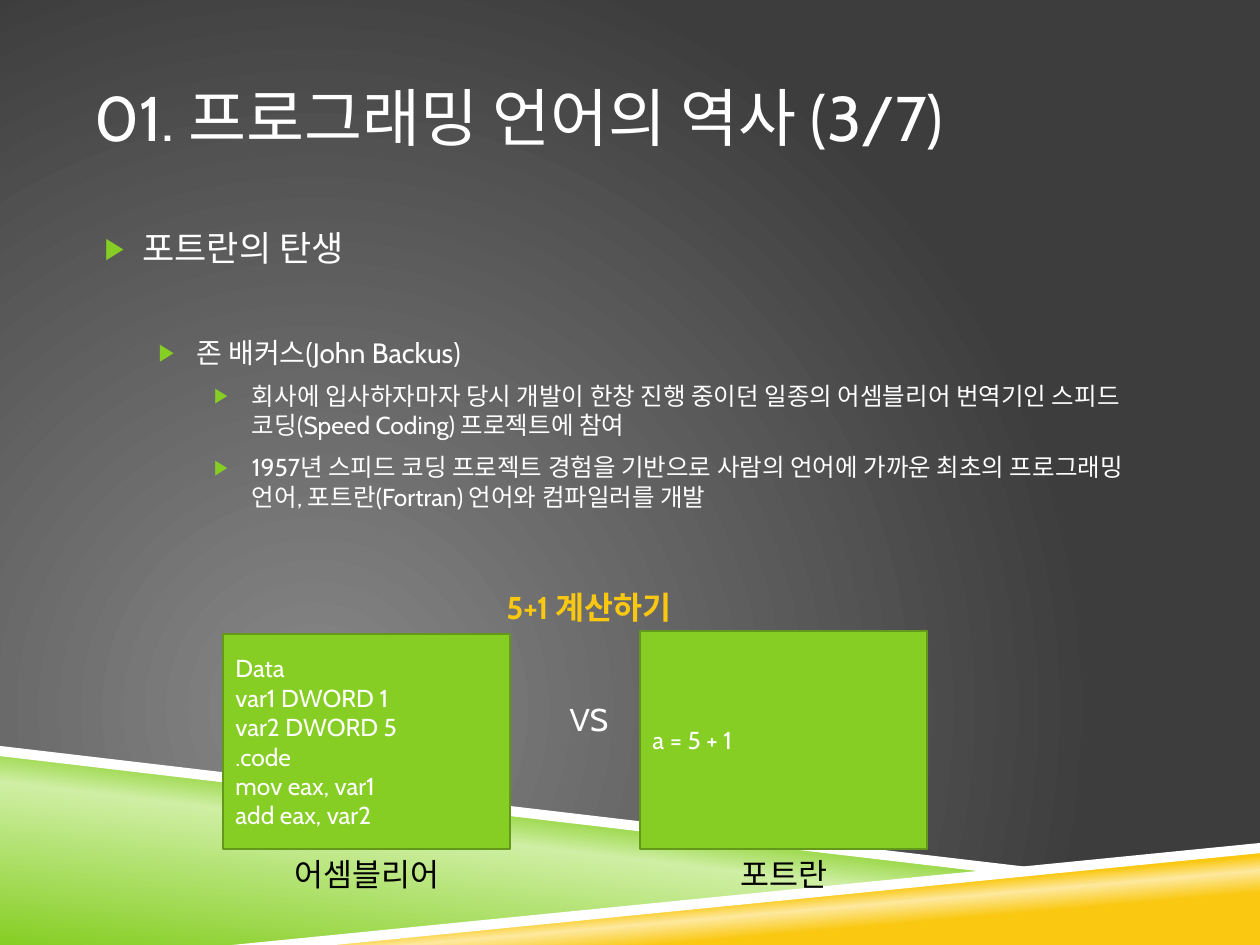
from lxml.etree import SubElement
from pptx import Presentation
from pptx.dml.color import RGBColor
from pptx.enum.shapes import MSO_SHAPE as Shape
from pptx.enum.text import MSO_ANCHOR as Anchor, PP_ALIGN as Align
from pptx.oxml.ns import qn
from pptx.util import Inches, Pt

COLUMNS, ROWS = 40, 30
WIDTH, HEIGHT = Inches(10), Inches(7.5)
FONT = "Cabin"
WHITE, BLACK, GREEN, DARK_GREEN, YELLOW = "FFFFFF", "000000", "86CE24", "63981B", "FAC810"
CAPTION_ROWS = 1.6


def color(value):
    return RGBColor.from_string(value)


def across(columns):
    return round(WIDTH * columns / COLUMNS)


def down(rows):
    return round(HEIGHT * rows / ROWS)


def place(box):
    left, top, width, height = box
    return across(left), down(top), across(width), down(height)


def set_gradient(fill, stops, angle=None, focus=None):
    fill.gradient()
    gradient = fill._xPr.find(qn("a:gradFill"))
    for child in list(gradient):
        gradient.remove(child)
    stop_list = SubElement(gradient, qn("a:gsLst"))
    for position, value in stops:
        stop = SubElement(stop_list, qn("a:gs"), pos=str(position * 1000))
        SubElement(stop, qn("a:srgbClr"), val=value)
    if focus:
        circle = SubElement(gradient, qn("a:path"), {"path": "circle"})
        sides = {side: str(share * 1000) for side, share in zip("ltrb", focus)}
        SubElement(circle, qn("a:fillToRect"), sides)
    else:
        SubElement(gradient, qn("a:lin"), ang=str(angle * 60000), scaled="0")


def write(frame, text, size=18, value=WHITE, bold=False, align=Align.LEFT,
          anchor=Anchor.TOP, side_inset=0.1):
    frame.word_wrap = True
    frame.vertical_anchor = anchor
    frame.margin_left = frame.margin_right = Inches(side_inset)
    for index, line in enumerate(text.split("\n")):
        paragraph = frame.paragraphs[0] if index == 0 else frame.add_paragraph()
        paragraph.alignment = align
        run = paragraph.add_run()
        run.text = line
        font = run.font
        font.name, font.size, font.bold = FONT, Pt(size), bold
        font.color.rgb = color(value)


def add_text(slide, box, text, **style):
    frame = slide.shapes.add_textbox(*place(box)).text_frame
    write(frame, text, **style)
    return frame


def set_bullet(paragraph, level, indent, space):
    paragraph.level = level
    paragraph.space_before = Pt(space)
    properties = paragraph._p.get_or_add_pPr()
    properties.set("marL", str(Inches(indent)))
    properties.set("indent", str(Inches(-0.3)))
    bullet_color = SubElement(properties, qn("a:buClr"))
    SubElement(bullet_color, qn("a:srgbClr"), val=GREEN)
    SubElement(properties, qn("a:buSzPct"), val="85000")
    SubElement(properties, qn("a:buFont"), typeface="Arial")
    SubElement(properties, qn("a:buChar"), char="▶")


def add_band(slide, box, points):
    left, top, width, height = box
    corners = [(across(left + width * x), down(top + height * y)) for x, y in points]
    builder = slide.shapes.build_freeform(*corners[0], scale=1.0)
    builder.add_line_segments(corners[1:], close=True)
    band = builder.convert_to_shape()
    band.shadow.inherit = False
    band.line.fill.background()
    return band.fill


def draw_backdrop(slide):
    set_gradient(slide.background.fill, [(0, "878787"), (100, "3D3D3D")],
                 focus=(50, 100, 100, 50))
    green = add_band(slide, (0, 23.88, 31.68, 6.12),
                     [(0, 0), (1, 0.62), (0.25, 1), (0, 1)])
    set_gradient(green, [(0, GREEN), (52, "CFEFA4"), (66, GREEN)], angle=277)
    yellow = add_band(slide, (7.92, 26.88, 32.08, 3.12), [(0, 1), (1, 0), (1, 1)])
    set_gradient(yellow, [(28, YELLOW), (40, "FDE99F"), (48, YELLOW)], angle=265)
    stripes = [
        ((0, 23.68, 33.28, 4.04), [(0, 0), (0, 0.08), (0.95, 1), (1, 0.97)]),
        ((7.36, 26.76, 32.64, 3.24), [(1, 0), (0, 1), (0.1, 1), (1, 0.1)]),
    ]
    for box, points in stripes:
        stripe = add_band(slide, box, points)
        stripe.solid()
        stripe.fore_color.rgb = color(WHITE)


def draw_outline(slide, box):
    items = [
        (0, 20, 7, "포트란의 탄생"),
        (1, 16, 38, "존 배커스(John Backus)"),
        (2, 14, 7, "회사에 입사하자마자 당시 개발이 한창 진행 중이던 일종의 어셈블리어 번역기인 "
                   "스피드 코딩(Speed Coding) 프로젝트에 참여"),
        (2, 14, 7, "1957년 스피드 코딩 프로젝트 경험을 기반으로 사람의 언어에 가까운 최초의 "
                   "프로그래밍 언어, 포트란(Fortran) 언어와 컴파일러를 개발"),
    ]
    frame = add_text(slide, box, "\n".join(item[3] for item in items), side_inset=0)
    for paragraph, (level, size, space, _) in zip(frame.paragraphs, items):
        paragraph.runs[0].font.size = Pt(size)
        set_bullet(paragraph, level, (0.38, 0.81, 1.25)[level], space)


def draw_code(slide, box, code, caption):
    left, top, width, height = box
    panel = slide.shapes.add_shape(Shape.RECTANGLE, *place(box))
    panel.shadow.inherit = False
    panel.fill.solid()
    panel.fill.fore_color.rgb = color(GREEN)
    panel.line.color.rgb = color(DARK_GREEN)
    panel.line.width = Pt(1)
    write(panel.text_frame, code, size=14, anchor=Anchor.MIDDLE)
    add_text(slide, (left - 1.16, top + height, width + 2.36, CAPTION_ROWS), caption,
             value=BLACK, align=Align.CENTER)


def draw_comparison(slide, box):
    left, top, width, height = box
    panel_width = 9.12
    panel_top, bottom = top + 1.6, top + height
    add_text(slide, (left + 5.88, top, 11.48, CAPTION_ROWS), "5+1 계산하기",
             value=YELLOW, bold=True, align=Align.CENTER)
    draw_code(slide, (left, panel_top + 0.04, panel_width, bottom - panel_top - 0.04),
              "Data\nvar1 DWORD 1\nvar2 DWORD 5\n.code\nmov eax, var1\nadd eax, var2",
              "어셈블리어")
    draw_code(slide, (left + width - panel_width, panel_top - 0.04, panel_width,
                      bottom - panel_top + 0.04), "a = 5 + 1", "포트란")
    add_text(slide, (left + 10.36, top + 3.56, 2.52, CAPTION_ROWS), "VS",
             align=Align.CENTER)


def main():
    presentation = Presentation()
    presentation.slide_width, presentation.slide_height = WIDTH, HEIGHT
    slide = presentation.slides.add_slide(presentation.slide_layouts[6])
    draw_backdrop(slide)
    add_text(slide, (3, 1.2, 34, 5), "01. 프로그래밍 언어의 역사 (3/7)", size=36,
             anchor=Anchor.MIDDLE, side_inset=0)
    draw_outline(slide, (3, 7, 34, 16.32))
    draw_comparison(slide, (7.08, 18.48, 22.36, 8.48))
    presentation.save("out.pptx")


if __name__ == "__main__":
    main()
